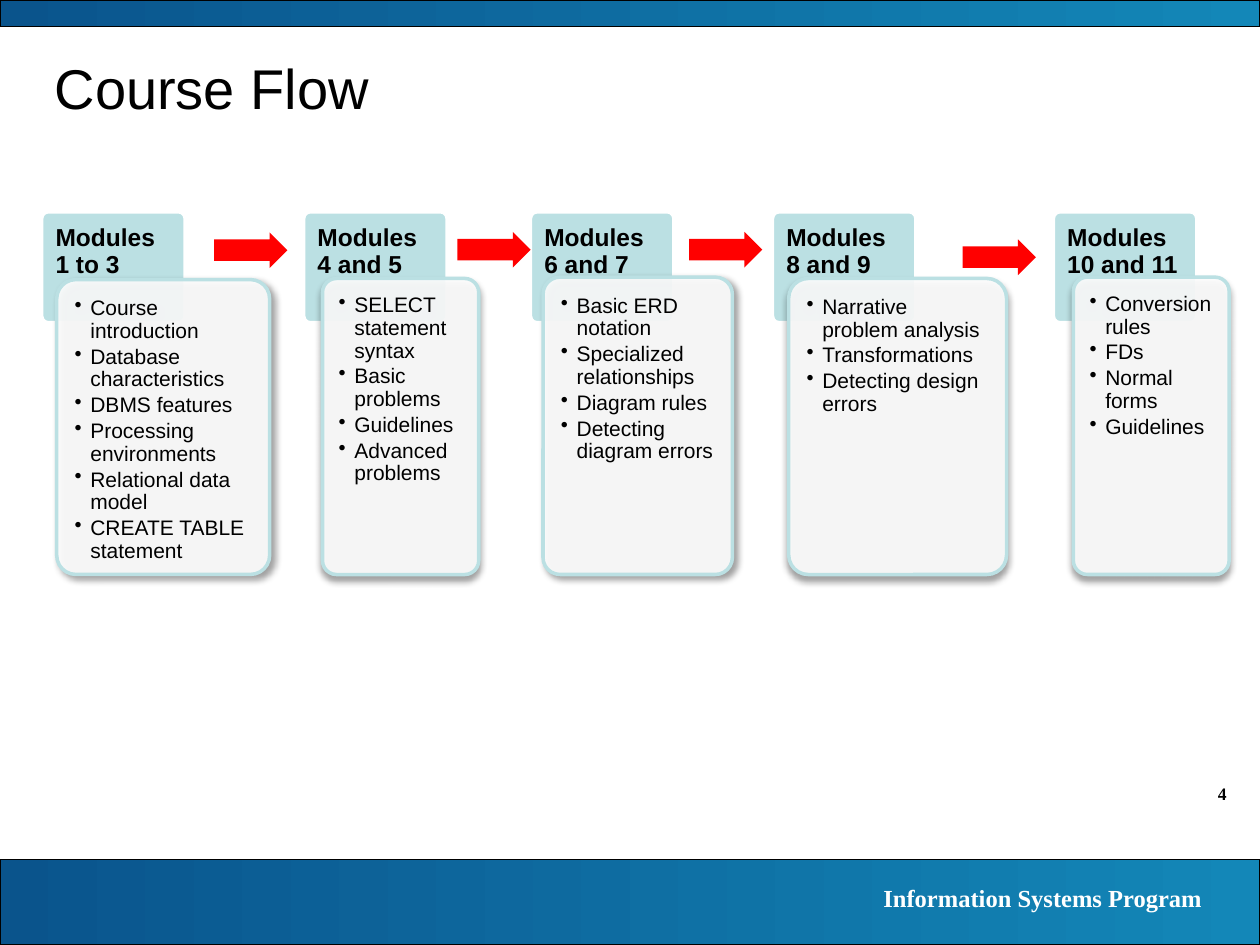
from pptx import Presentation, util as u
from pptx.dml import color
from pptx.enum import shapes, text
from pptx.oxml import ns, parse_xml

PALE, RED, BLACK, WHITE = "BBE0E3", "FF0000", "000000", "FFFFFF"
TAB_TOP, TAB_WIDTH, TAB_HEIGHT = 121, 82, 63.4
CARD_BOTTOM = 328.3
MODULES = [
    ("Modules 1 to 3", 23.8, (32.4, 159.8, 121.7), 10.2, 45,
     ["Course introduction", "Database characteristics", "DBMS features",
      "Processing environments", "Relational data model", "CREATE TABLE statement"]),
    ("Modules 4 and 5", 173.5, (184.3, 159.1, 89.3), 9.2, 90,
     ["SELECT statement syntax", "Basic problems", "Guidelines", "Advanced problems"]),
    ("Modules 6 and 7", 303.1, (310.3, 158.4, 108.2), 10.2, 45,
     ["Basic ERD notation", "Specialized relationships", "Diagram rules",
      "Detecting diagram errors"]),
    ("Modules 8 and 9", 441.4, (450.7, 159.1, 124.5), 10.2, 90,
     ["Narrative problem analysis", "Transformations", "Detecting design errors"]),
    ("Modules 10 and 11", 601.9, (613.4, 158.4, 89), 9.2, 90,
     ["Conversion rules", "FDs", "Normal forms", "Guidelines"]),
]
ARROWS = [(122.4, 132.8), (261.4, 132.5), (393.8, 132.5), (550.1, 136.8)]


def rgb(value):
    return color.RGBColor.from_string(value)


def assign(target, values):
    for name, value in values.items():
        setattr(target, name, value)


class SlideBuilder:
    """Hold the style and the current slide, and draw each kind of element."""

    title_font = {"name": "Arial", "size": u.Pt(32), "bold": False}
    tab_font = {"name": "Arial", "size": u.Pt(14), "bold": True}
    card_font = {"name": "Arial", "size": u.Pt(12), "bold": False}
    page_font = {"name": "Times New Roman", "size": u.Pt(10), "bold": True}
    footer_font = {"name": "Times New Roman", "size": u.Pt(14), "bold": True}

    def __init__(self, slide):
        self.slide = slide

    def fill_text(self, frame, lines, font, ink=BLACK, anchor=text.MSO_ANCHOR.TOP, **layout):
        assign(frame, {"word_wrap": True, "auto_size": text.MSO_AUTO_SIZE.NONE,
                       "vertical_anchor": anchor, "text": "\n".join(lines)})
        layout = {"alignment": text.PP_ALIGN.LEFT, **layout}
        for paragraph in frame.paragraphs:
            assign(paragraph, layout)
            for run in paragraph.runs:
                assign(run.font, font)
                run.font.color.rgb = rgb(ink)

    def title(self, wording, *box):
        shape = self.slide.shapes.title
        assign(shape, dict(zip(("left", "top", "width", "height"), map(u.Pt, box))))
        self.fill_text(shape.text_frame, [wording], self.title_font,
                       anchor=text.MSO_ANCHOR.MIDDLE)

    def label(self, wording, box, font, ink):
        shape = self.slide.shapes.add_textbox(*map(u.Pt, box))
        self.fill_text(shape.text_frame, [wording], font, ink,
                       alignment=text.PP_ALIGN.RIGHT)

    def shape(self, kind, box, fill=None, line=None, weight=2, adjustments=()):
        shape = self.slide.shapes.add_shape(kind, *map(u.Pt, box))
        shape.shadow.inherit = False
        for index, value in enumerate(adjustments):
            shape.adjustments[index] = value
        if fill:
            shape.fill.solid()
            shape.fill.fore_color.rgb = rgb(fill)
        if line:
            shape.line.color.rgb = rgb(line)
            shape.line.width = u.Pt(weight)
        else:
            shape.line.fill.background()
        return shape

    def band(self, top, height):
        shape = self.shape(shapes.MSO_SHAPE.RECTANGLE, (0, top, 720, height),
                           line=BLACK, weight=0.75)
        shape.fill.gradient()
        shape.fill.gradient_angle = 0
        for stop, value in zip(shape.fill.gradient_stops, ("0A548C", "1387B8")):
            stop.color.rgb = rgb(value)

    def rounded(self, box, fill, line, corner, inset):
        shape = self.shape(shapes.MSO_SHAPE.ROUNDED_RECTANGLE, box, fill, line,
                           adjustments=[corner])
        margin = u.Pt(inset - 0.29 * corner * min(box[2:]))
        assign(shape.text_frame, {f"margin_{side}": margin
                                  for side in ("left", "top", "right", "bottom")})
        return shape

    def tab(self, wording, left):
        shape = self.rounded((left, TAB_TOP, TAB_WIDTH, TAB_HEIGHT), PALE, WHITE, 0.06, 7.9)
        self.fill_text(shape.text_frame, [wording], self.tab_font,
                       line_spacing=0.9, space_after=u.Pt(4.9))

    def card(self, items, left, top, width, inset, direction):
        shape = self.rounded((left, top, width, CARD_BOTTOM - top), WHITE, PALE, 0.09, inset)
        self.fill_text(shape.text_frame, items, self.card_font,
                       line_spacing=0.9, space_after=u.Pt(1.8))
        for paragraph in shape.text_frame.paragraphs:
            properties = paragraph._p.get_or_add_pPr()
            properties.set("marL", str(u.Pt(9)))
            properties.set("indent", str(u.Pt(-9)))
            properties.append(parse_xml(f'<a:buChar {ns.nsdecls("a")} char="•"/>'))
        effects = shape._element.spPr.find(ns.qn("a:effectLst"))
        effects.append(parse_xml(
            f'<a:outerShdw {ns.nsdecls("a")} blurRad="{u.Pt(4)}" dist="{u.Pt(3)}" '
            f'dir="{direction * 60000}" rotWithShape="0"><a:srgbClr val="{BLACK}">'
            '<a:alpha val="40000"/></a:srgbClr></a:outerShdw>'))
        fill = shape._element.spPr.find(ns.qn("a:solidFill"))
        fill[0].append(parse_xml(f'<a:alpha {ns.nsdecls("a")} val="90000"/>'))

    def arrow(self, left, top):
        self.shape(shapes.MSO_SHAPE.RIGHT_ARROW, (left, top, 41.8, 20.4), RED,
                   adjustments=[0.6, 0.5])


def main():
    presentation = Presentation()
    presentation.slide_width, presentation.slide_height = u.Pt(720), u.Pt(540)
    builder = SlideBuilder(presentation.slides.add_slide(presentation.slide_layouts[5]))
    builder.band(491, 49)
    builder.band(0, 15)
    builder.label("4", (648, 444.2, 60, 19.4), builder.page_font, BLACK)
    builder.label("Information Systems Program", (399.6, 501.1, 294.5, 24.5),
                  builder.footer_font, WHITE)
    builder.title("Course Flow", 24, 23, 660, 54)
    for heading, left, card, inset, direction, items in MODULES:
        builder.tab(heading, left)
        builder.card(items, *card, inset, direction)
    for position in ARROWS:
        builder.arrow(*position)
    presentation.save("out.pptx")


if __name__ == "__main__":
    main()
